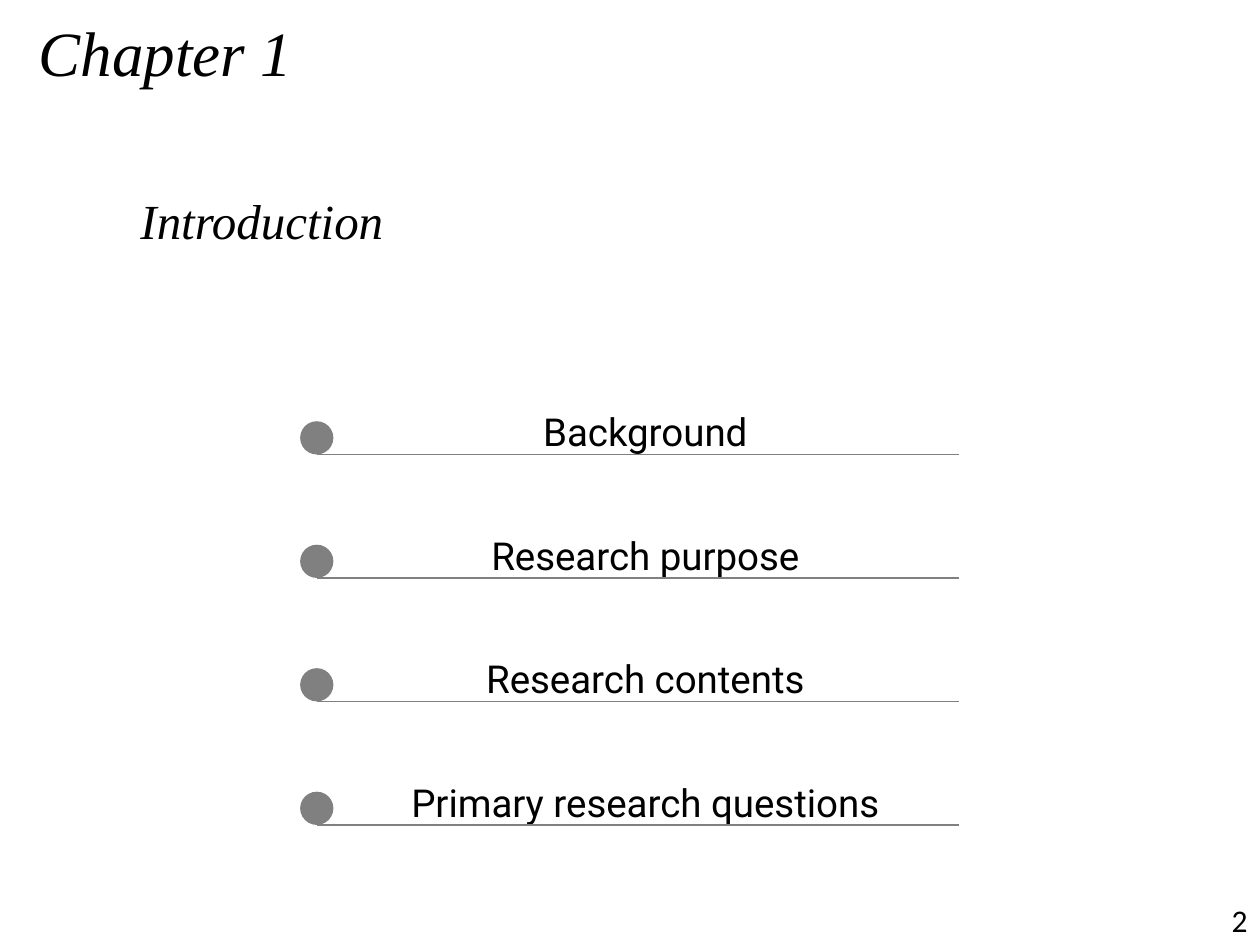
from dataclasses import dataclass

from lxml.etree import SubElement
from pptx import Presentation
from pptx.dml.color import RGBColor
from pptx.enum.shapes import MSO_CONNECTOR, MSO_SHAPE
from pptx.enum.text import MSO_ANCHOR, PP_ALIGN
from pptx.oxml.ns import qn
from pptx.shapes.shapetree import GroupShapes, SlideShapes
from pptx.util import Pt

BLACK = "000000"
GREY = "808080"

# Agenda rows, in points
FIRST_ROW_TOP = 234.0
ROW_PITCH = 70.56
DOT_LEFT, DOT_DROP, DOT_SIZE = 172.0, 7.2, 18.0
RULE_LEFT, RULE_RIGHT, RULE_DROP = 181.0, 548.0, 25.8
TOPICS = [
    "Background",
    "Research purpose",
    "Research contents",
    "Primary research questions",
]


@dataclass
class Label:
    text: str
    left: float
    top: float
    width: float
    height: float
    size: float
    font: str
    italic: bool = False
    align: PP_ALIGN = PP_ALIGN.LEFT
    anchor: MSO_ANCHOR = MSO_ANCHOR.TOP
    top_inset: float = 3.6


def colour(hex_code: str) -> RGBColor:
    return RGBColor.from_string(hex_code)


def draw_label(shapes: SlideShapes | GroupShapes, label: Label) -> None:
    box = shapes.add_textbox(
        Pt(label.left), Pt(label.top), Pt(label.width), Pt(label.height)
    )
    frame = box.text_frame
    frame.word_wrap = True
    frame.vertical_anchor = label.anchor
    frame.margin_top = Pt(label.top_inset)
    paragraph = frame.paragraphs[0]
    paragraph.alignment = label.align
    run = paragraph.add_run()
    run.text = label.text
    run.font.size = Pt(label.size)
    run.font.name = label.font
    run.font.italic = label.italic
    run.font.color.rgb = colour(BLACK)


def draw_topic(shapes: SlideShapes, topic: str, top: float) -> None:
    row = shapes.add_group_shape().shapes

    dot = row.add_shape(
        MSO_SHAPE.OVAL, Pt(DOT_LEFT), Pt(top + DOT_DROP), Pt(DOT_SIZE), Pt(DOT_SIZE)
    )
    dot.shadow.inherit = False
    dot.fill.solid()
    dot.fill.fore_color.rgb = colour(GREY)
    dot.line.color.rgb = colour(GREY)
    dot.line.width = Pt(1)

    draw_label(row, Label(topic, 189.5, top, 358.5, 25.2, 22, "Roboto",
                          align=PP_ALIGN.CENTER, anchor=MSO_ANCHOR.MIDDLE))

    rule_y = Pt(top + RULE_DROP)
    rule = row.add_connector(
        MSO_CONNECTOR.STRAIGHT, Pt(RULE_LEFT), rule_y, Pt(RULE_RIGHT), rule_y
    )
    rule.line.color.rgb = colour(GREY)
    rule.line.width = Pt(0.75)
    SubElement(rule._element.spPr, qn("a:effectLst"))


def main() -> None:
    deck = Presentation()
    deck.slide_width, deck.slide_height = Pt(720), Pt(540)
    shapes = deck.slides.add_slide(deck.slide_layouts[6]).shapes

    # Chapter headings
    draw_label(shapes, Label("Chapter 1", 15, 0, 690, 51, 36, "Times New Roman",
                             italic=True, top_inset=8))
    draw_label(shapes, Label("Introduction", 73.2, 51, 574, 154, 28,
                             "Times New Roman", italic=True, top_inset=58))

    # Agenda
    for index, topic in enumerate(TOPICS):
        draw_topic(shapes, topic, FIRST_ROW_TOP + index * ROW_PITCH)

    # Page number
    draw_label(shapes, Label("2", 558, 511.2, 162, 28.8, 18, "Calibri",
                             align=PP_ALIGN.RIGHT, anchor=MSO_ANCHOR.MIDDLE))

    deck.save("out.pptx")


if __name__ == "__main__":
    main()
